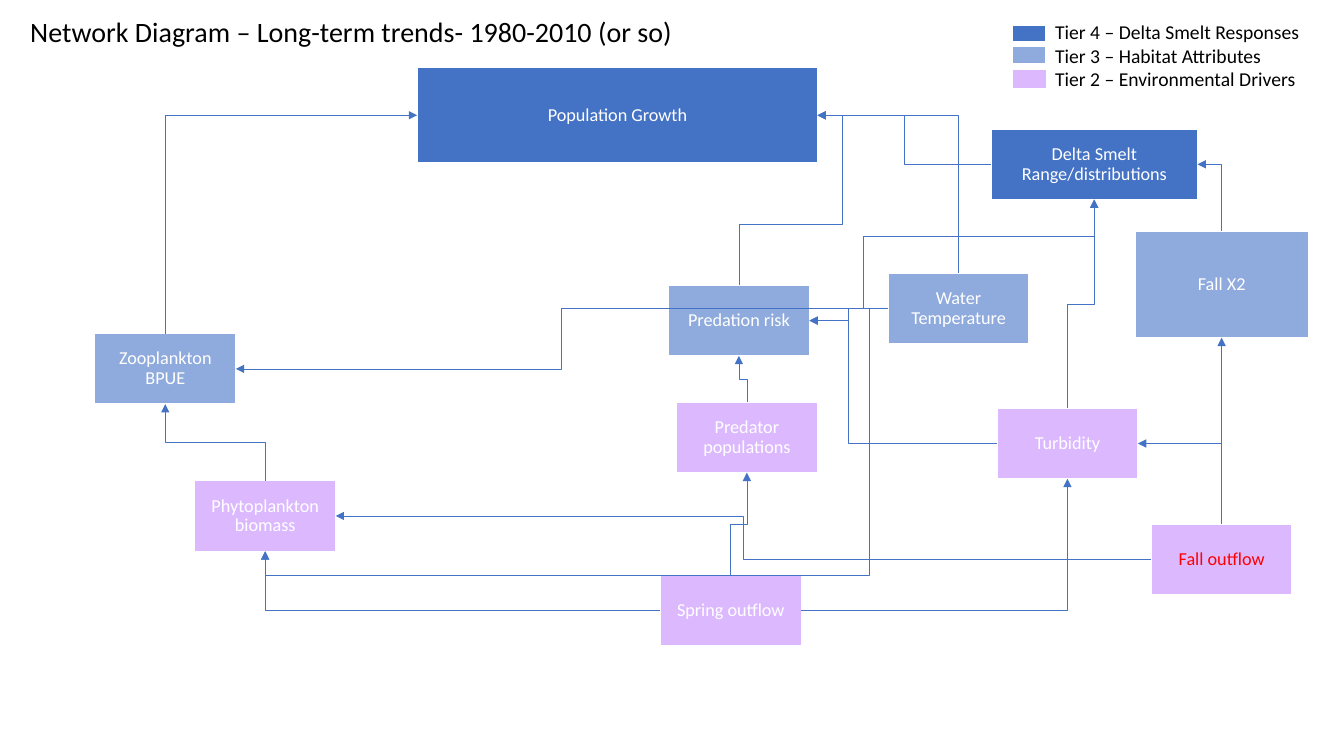
from lxml.etree import SubElement
from pptx import Presentation
from pptx.dml.color import RGBColor
from pptx.enum.shapes import MSO_CONNECTOR, MSO_SHAPE
from pptx.enum.text import MSO_ANCHOR, MSO_AUTO_SIZE, PP_ALIGN
from pptx.oxml.ns import qn
from pptx.util import Pt

RESPONSE = RGBColor(0x44, 0x72, 0xC4)
HABITAT = RGBColor(0x8F, 0xAA, 0xDC)
DRIVER = RGBColor(0xDC, 0xB9, 0xFF)
WHITE = RGBColor(0xFF, 0xFF, 0xFF)
BLACK = RGBColor(0, 0, 0)
RED = RGBColor(0xFF, 0, 0)

SIDES = ["top", "left", "bottom", "right"]
BOX_SIZE = (100.8, 50.4)

BOXES = [
    ("Population Growth", RESPONSE, 298, 48.2, (286, 68.4)),
    ("Zooplankton BPUE", HABITAT, 67.7, 238.3, BOX_SIZE),
    ("Phytoplankton biomass", DRIVER, 139, 343.4, BOX_SIZE),
    ("Predator populations", DRIVER, 483.1, 287.3, BOX_SIZE),
    ("Water Temperature", HABITAT, 634.3, 195.1, BOX_SIZE),
    ("Fall X2", HABITAT, 810.7, 164.9, (123.8, 76.3)),
    ("Fall outflow", DRIVER, 822.2, 374.4, BOX_SIZE),
    ("Turbidity", DRIVER, 712.1, 291.6, BOX_SIZE),
    ("Delta Smelt Range/distributions", RESPONSE, 707.8, 92.2, (147.6, 50.4)),
    ("Predation risk", HABITAT, 477.4, 203.8, BOX_SIZE),
    ("Spring outflow", DRIVER, 471.6, 411.1, BOX_SIZE),
]

LINKS = [
    ("Zooplankton BPUE", "top", "Population Growth", "left", []),
    ("Predation risk", "top", "Population Growth", "right", [0.36, 1.32]),
    ("Predator populations", "top", "Predation risk", "bottom", [0.5]),
    ("Water Temperature", "left", "Predation risk", "right", [0.5]),
    ("Turbidity", "left", "Predation risk", "right", [0.79]),
    ("Spring outflow", "left", "Phytoplankton biomass", "bottom", []),
    ("Fall outflow", "top", "Fall X2", "bottom", [0.5]),
    ("Fall X2", "top", "Delta Smelt Range/distributions", "right", []),
    ("Delta Smelt Range/distributions", "left", "Population Growth", "right", [0.5]),
    ("Phytoplankton biomass", "top", "Zooplankton BPUE", "bottom", [0.5]),
    ("Turbidity", "top", "Delta Smelt Range/distributions", "bottom", [0.5]),
    ("Spring outflow", "top", "Predator populations", "bottom", [0.5]),
    ("Fall outflow", "left", "Phytoplankton biomass", "right", [0.5]),
    ("Spring outflow", "right", "Turbidity", "bottom", []),
    ("Fall outflow", "top", "Turbidity", "right", []),
    ("Water Temperature", "left", "Phytoplankton biomass", "bottom", [0.03, 1.1]),
    ("Water Temperature", "left", "Delta Smelt Range/distributions", "bottom", [-0.12, 0.66]),
    ("Water Temperature", "top", "Population Growth", "right", []),
    ("Water Temperature", "left", "Zooplankton BPUE", "right", [0.5]),
]

LEGEND = [
    ("Tier 4 – Delta Smelt Responses", RESPONSE, 18, (23.8, 12.2)),
    ("Tier 3 – Habitat Attributes", HABITAT, 33.1, (23.8, 12.2)),
    ("Tier 2 – Environmental Drivers", DRIVER, 49.7, (24.5, 13.7)),
]


def apply(target, values):
    """Set each attribute of the target from a dict."""
    for name, value in values.items():
        setattr(target, name, value)


class NetworkSlide:
    """Hold the style and the current slide, and draw its elements."""

    font = "Calibri"

    def __init__(self, presentation):
        self.slide = presentation.slides.add_slide(presentation.slide_layouts[5])
        self.shapes = self.slide.shapes

    def fill_text(self, frame, lines, size, color, paragraph_format, frame_format):
        apply(frame, frame_format)
        for index, line in enumerate(lines):
            paragraph = frame.add_paragraph() if index else frame.paragraphs[0]
            apply(paragraph, paragraph_format)
            run = paragraph.add_run()
            run.text = line
            apply(run.font, {"name": self.font, "size": Pt(size)})
            run.font.color.rgb = color

    def title(self, text, left, top, width, height):
        shape = self.shapes.title
        apply(shape, {"left": Pt(left), "top": Pt(top),
                      "width": Pt(width), "height": Pt(height)})
        self.fill_text(shape.text_frame, [text], 20, BLACK,
                       {"alignment": PP_ALIGN.LEFT, "line_spacing": 0.9},
                       {"vertical_anchor": MSO_ANCHOR.MIDDLE,
                        "auto_size": MSO_AUTO_SIZE.NONE})

    def rectangle(self, fill, left, top, size):
        shape = self.shapes.add_shape(
            MSO_SHAPE.RECTANGLE, Pt(left), Pt(top), Pt(size[0]), Pt(size[1]))
        shape.shadow.inherit = False
        shape.fill.solid()
        shape.fill.fore_color.rgb = fill
        shape.line.color.rgb = WHITE
        shape.line.width = Pt(1)
        return shape

    def box(self, text, fill, left, top, size, color=WHITE):
        shape = self.rectangle(fill, left, top, size)
        margins = {f"margin_{side}": Pt(2.2) for side in SIDES}
        self.fill_text(shape.text_frame, [text], 13, color,
                       {"alignment": PP_ALIGN.CENTER, "line_spacing": 0.9},
                       {"word_wrap": True, "vertical_anchor": MSO_ANCHOR.MIDDLE, **margins})
        return shape

    def text(self, lines, left, top, width, height):
        shape = self.shapes.add_textbox(Pt(left), Pt(top), Pt(width), Pt(height))
        self.fill_text(shape.text_frame, lines, 14, BLACK, {"alignment": PP_ALIGN.LEFT},
                       {"word_wrap": False, "auto_size": MSO_AUTO_SIZE.SHAPE_TO_FIT_TEXT})

    def link(self, source, source_side, target, target_side, bends):
        connector = self.shapes.add_connector(MSO_CONNECTOR.ELBOW, 0, 0, 0, 0)
        connector.begin_connect(source, SIDES.index(source_side))
        connector.end_connect(target, SIDES.index(target_side))
        start_x, start_y = connector.begin_x, connector.begin_y
        end_x, end_y = connector.end_x, connector.end_y
        across, down = end_x - start_x, end_y - start_y
        upright = source_side in ("top", "bottom")
        width, height = (abs(down), abs(across)) if upright else (abs(across), abs(down))
        apply(connector, {"left": (start_x + end_x - width) // 2,
                          "top": (start_y + end_y - height) // 2,
                          "width": width, "height": height,
                          "rotation": 90 if upright else 0})
        apply(connector._element.spPr.xfrm,
              {"flipH": down < 0 if upright else across < 0,
               "flipV": across > 0 if upright else down < 0})
        self.bend(connector, bends)
        connector.line.color.rgb = RESPONSE
        connector.line.width = Pt(0.5)
        SubElement(connector.line._get_or_add_ln(), qn("a:tailEnd"), type="triangle")
        SubElement(connector._element.spPr, qn("a:effectLst"))

    def bend(self, connector, bends):
        geometry = connector._element.spPr.find(qn("a:prstGeom"))
        geometry.set("prst", f"bentConnector{len(bends) + 2}")
        guides = geometry.find(qn("a:avLst"))
        if guides is None:
            guides = SubElement(geometry, qn("a:avLst"))
        for number, fraction in enumerate(bends, 1):
            SubElement(guides, qn("a:gd"), name=f"adj{number}",
                       fmla=f"val {round(fraction * 100000)}")


def main():
    """Build the network diagram and save it."""
    presentation = Presentation()
    apply(presentation, {"slide_width": Pt(960), "slide_height": Pt(540)})
    network = NetworkSlide(presentation)
    network.title("Network Diagram – Long-term trends- 1980-2010 (or so)", 14.4, 0.7, 828, 46)
    boxes = {}
    for text, fill, left, top, size in BOXES:
        color = RED if text == "Fall outflow" else WHITE
        boxes[text] = network.box(text, fill, left, top, size, color)
    for source, source_side, target, target_side, bends in LINKS:
        network.link(boxes[source], source_side, boxes[target], target_side, bends)
    network.text([entry[0] for entry in LEGEND], 746.6, 10.8, 190.8, 58.3)
    for text, fill, top, size in LEGEND:
        network.rectangle(fill, 722.9, top, size)
    presentation.save("out.pptx")


main()
